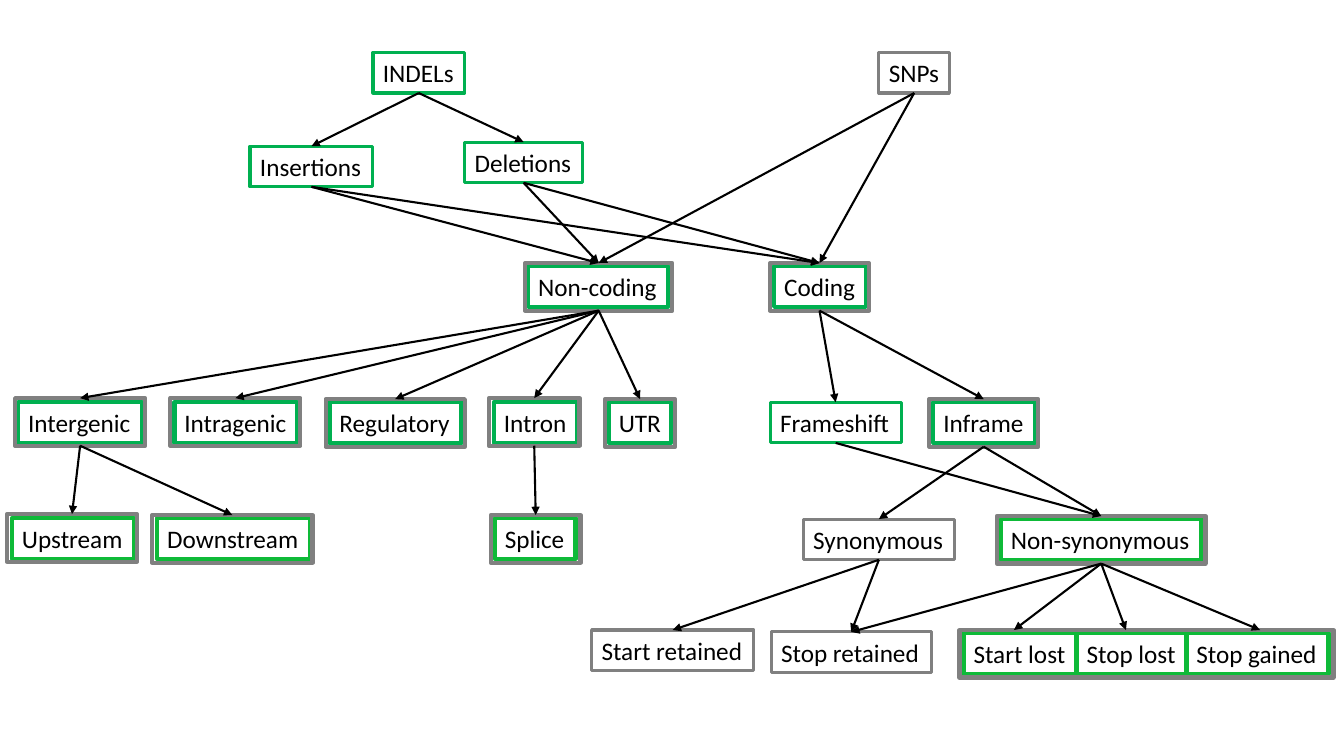
from dataclasses import dataclass
from typing import Optional

from lxml import etree
from pptx import Presentation
from pptx.dml.color import RGBColor
from pptx.enum.shapes import MSO_CONNECTOR, MSO_SHAPE
from pptx.enum.text import MSO_AUTO_SIZE
from pptx.oxml.ns import qn
from pptx.util import Pt

RECTANGLE = MSO_SHAPE.RECTANGLE
STRAIGHT = MSO_CONNECTOR.STRAIGHT
GROW = MSO_AUTO_SIZE.SHAPE_TO_FIT_TEXT
BLANK_LAYOUT = 6
LABEL_HEIGHT = 29.08
FRAME_HEIGHT = 34


@dataclass(frozen=True)
class Theme:
    font: str = "Calibri"
    size: float = 18
    ink: RGBColor = RGBColor(0, 0, 0)
    green: RGBColor = RGBColor(0x00, 0xB0, 0x50)
    lime: RGBColor = RGBColor(0x0E, 0xBA, 0x38)
    grey: RGBColor = RGBColor(0x80, 0x80, 0x80)
    thin: float = 2.25
    thick: float = 3
    arrow: float = 1.5


THEME = Theme()
GREEN, LIME, GREY = THEME.green, THEME.lime, THEME.grey


@dataclass(frozen=True)
class Frame:
    left: float
    top: float
    width: float


@dataclass(frozen=True)
class Node:
    text: str
    left: float
    top: float
    width: float
    color: RGBColor
    frame: Optional[Frame] = None
    weight: float = THEME.thick

    @property
    def center(self) -> float:
        outer = self.frame or self
        return outer.left + outer.width / 2

    @property
    def upper(self) -> float:
        return (self.frame or self).top

    @property
    def lower(self) -> float:
        return self.upper + (FRAME_HEIGHT if self.frame else LABEL_HEIGHT)


@dataclass(frozen=True)
class Arrow:
    source: str
    target: str
    dx: float = 0
    dy: float = 0


NODES = (
    Node("INDELs", 266.4, 37.4, 65.5, GREEN, weight=THEME.thin),
    Node("SNPs", 627.8, 37.4, 50.4, GREY, weight=THEME.thin),
    Node("Insertions", 178.6, 104.4, 87.8, GREEN, weight=THEME.thin),
    Node("Deletions", 331.9, 101.5, 84.2, GREEN, weight=THEME.thin),
    Node("Non-coding", 377.3, 190.1, 100.1, GREEN, Frame(375.1, 187.9, 105.1)),
    Node("Coding", 553, 190.1, 65.5, GREEN, Frame(550.1, 187.9, 70.6)),
    Node("Intergenic", 13, 287.3, 88.6, GREEN, Frame(10.8, 284.4, 92.9)),
    Node("Intragenic", 124.6, 287.3, 87.8, GREEN, Frame(121.7, 284.4, 92.9)),
    Node("Regulatory", 235.4, 287.3, 94.3, GREEN, Frame(232.6, 285.1, 99.4)),
    Node("Intron", 352.8, 287.3, 59.8, GREEN, Frame(349.2, 284.4, 64.8)),
    Node("UTR", 434.9, 287.3, 44.6, GREEN, Frame(432, 285.1, 50.4)),
    Node("Frameshift", 550.1, 287.3, 93.6, GREEN, weight=THEME.thin),
    Node("Inframe", 666.7, 287.3, 72.7, GREEN, Frame(663.8, 285.1, 77.8)),
    Node("Upstream", 8.6, 370.1, 87.1, LIME, Frame(5, 367.2, 92.9)),
    Node("Downstream", 112.3, 370.1, 109.4, LIME, Frame(108.7, 367.9, 114.5)),
    Node("Splice", 353.5, 370.1, 57.6, LIME, Frame(350.6, 367.9, 64.1)),
    Node("Synonymous", 573.8, 370.8, 108, GREY, weight=THEME.thin),
    Node("Non-synonymous", 715, 370.8, 143.3, LIME, Frame(712.1, 368.6, 149)),
    Node("Start retained", 422.6, 450, 115.9, GREY, weight=THEME.thin),
    Node("Stop retained", 550.8, 451.4, 114.5, GREY, weight=THEME.thin),
    Node("Start lost", 688.3, 452.2, 80.6, LIME),
    Node("Stop lost", 769, 452.2, 78.5, LIME),
    Node("Stop gained", 847.4, 452.2, 101.5, LIME),
)
LOST_AND_GAINED_FRAME = Frame(685.4, 450, 267.1)

ARROWS = (
    Arrow("INDELs", "Insertions"),
    Arrow("INDELs", "Deletions"),
    Arrow("Insertions", "Non-coding"),
    Arrow("Deletions", "Non-coding"),
    Arrow("Insertions", "Coding"),
    Arrow("Deletions", "Coding"),
    Arrow("SNPs", "Non-coding"),
    Arrow("SNPs", "Coding"),
    Arrow("Non-coding", "Intergenic"),
    Arrow("Non-coding", "Intragenic"),
    Arrow("Non-coding", "Regulatory"),
    Arrow("Non-coding", "Intron"),
    Arrow("Non-coding", "UTR"),
    Arrow("Coding", "Frameshift"),
    Arrow("Coding", "Inframe"),
    Arrow("Intergenic", "Upstream"),
    Arrow("Intergenic", "Downstream"),
    Arrow("Intron", "Splice"),
    Arrow("Inframe", "Synonymous"),
    Arrow("Inframe", "Non-synonymous"),
    Arrow("Synonymous", "Start retained"),
    Arrow("Synonymous", "Stop retained"),
    Arrow("Non-synonymous", "Start lost", -4.3, -2.2),
    Arrow("Non-synonymous", "Stop gained", 1.9, -2.2),
    Arrow("Non-synonymous", "Stop lost", -4, -2.2),
    Arrow("Non-synonymous", "Stop retained"),
    Arrow("Frameshift", "Non-synonymous"),
)


def add_label(shapes, node: Node) -> None:
    s = shapes.add_textbox(Pt(node.left), Pt(node.top), Pt(node.width), Pt(LABEL_HEIGHT))
    s.line.color.rgb = node.color
    s.line.width = Pt(node.weight)
    tf = s.text_frame
    tf.word_wrap = False
    tf.auto_size = GROW
    r = tf.paragraphs[0].add_run()
    r.text = node.text
    r.font.name = THEME.font
    r.font.size = Pt(THEME.size)
    r.font.color.rgb = THEME.ink


def add_frame(shapes, frame: Frame) -> None:
    s = shapes.add_shape(
        RECTANGLE, Pt(frame.left), Pt(frame.top), Pt(frame.width), Pt(FRAME_HEIGHT)
    )
    s.shadow.inherit = False
    s.fill.background()
    s.line.color.rgb = THEME.grey
    s.line.width = Pt(THEME.thick)


def add_arrow(shapes, arrow: Arrow, nodes: dict[str, Node]) -> None:
    """Join the source's bottom centre to the target's top centre."""
    source, target = nodes[arrow.source], nodes[arrow.target]
    s = shapes.add_connector(
        STRAIGHT,
        Pt(source.center), Pt(source.lower),
        Pt(target.center + arrow.dx), Pt(target.upper + arrow.dy),
    )
    s.line.color.rgb = THEME.ink
    s.line.width = Pt(THEME.arrow)
    properties = s._element.spPr
    etree.SubElement(properties.find(qn("a:ln")), qn("a:tailEnd"), type="triangle")
    etree.SubElement(properties, qn("a:effectLst"))


def main() -> None:
    prs = Presentation()
    prs.slide_width, prs.slide_height = Pt(960), Pt(540)
    shapes = prs.slides.add_slide(prs.slide_layouts[BLANK_LAYOUT]).shapes
    for node in NODES:
        add_label(shapes, node)
    for frame in [n.frame for n in NODES if n.frame] + [LOST_AND_GAINED_FRAME]:
        add_frame(shapes, frame)
    nodes = {node.text: node for node in NODES}
    for arrow in ARROWS:
        add_arrow(shapes, arrow, nodes)
    prs.save("out.pptx")


if __name__ == "__main__":
    main()
